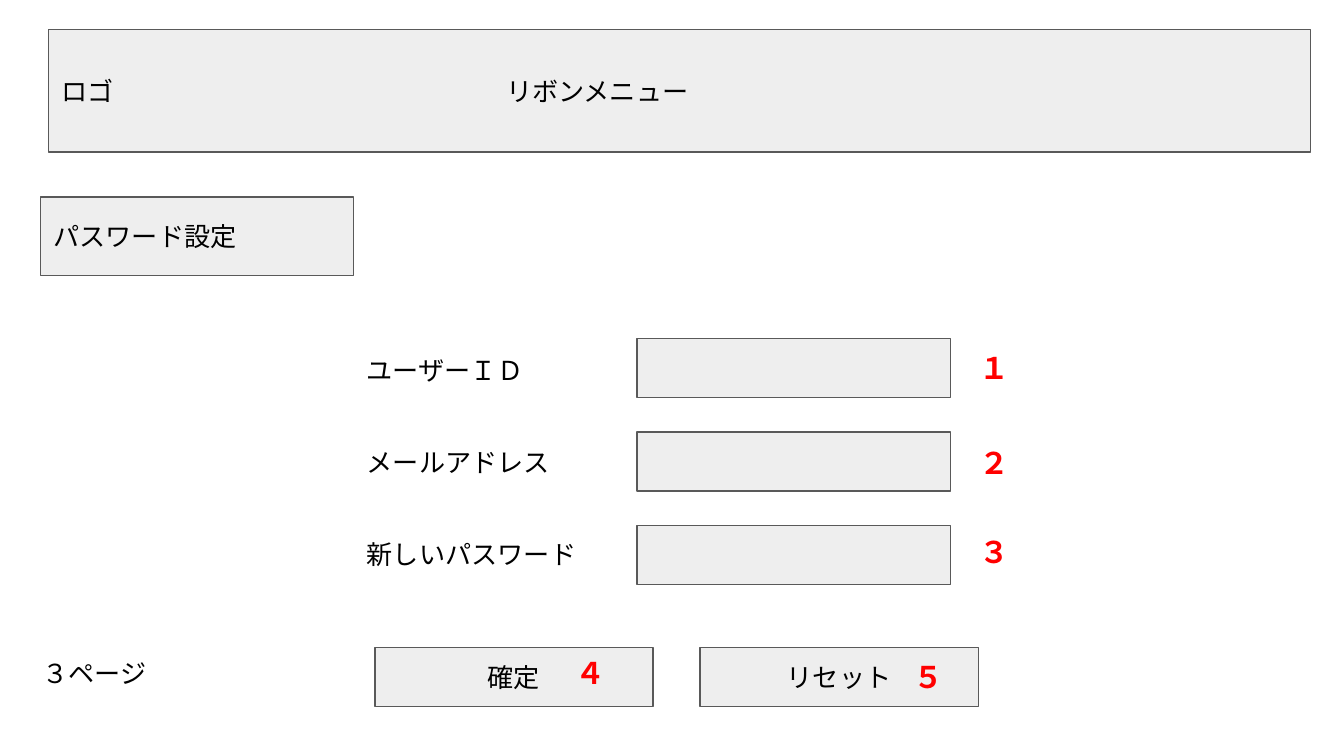
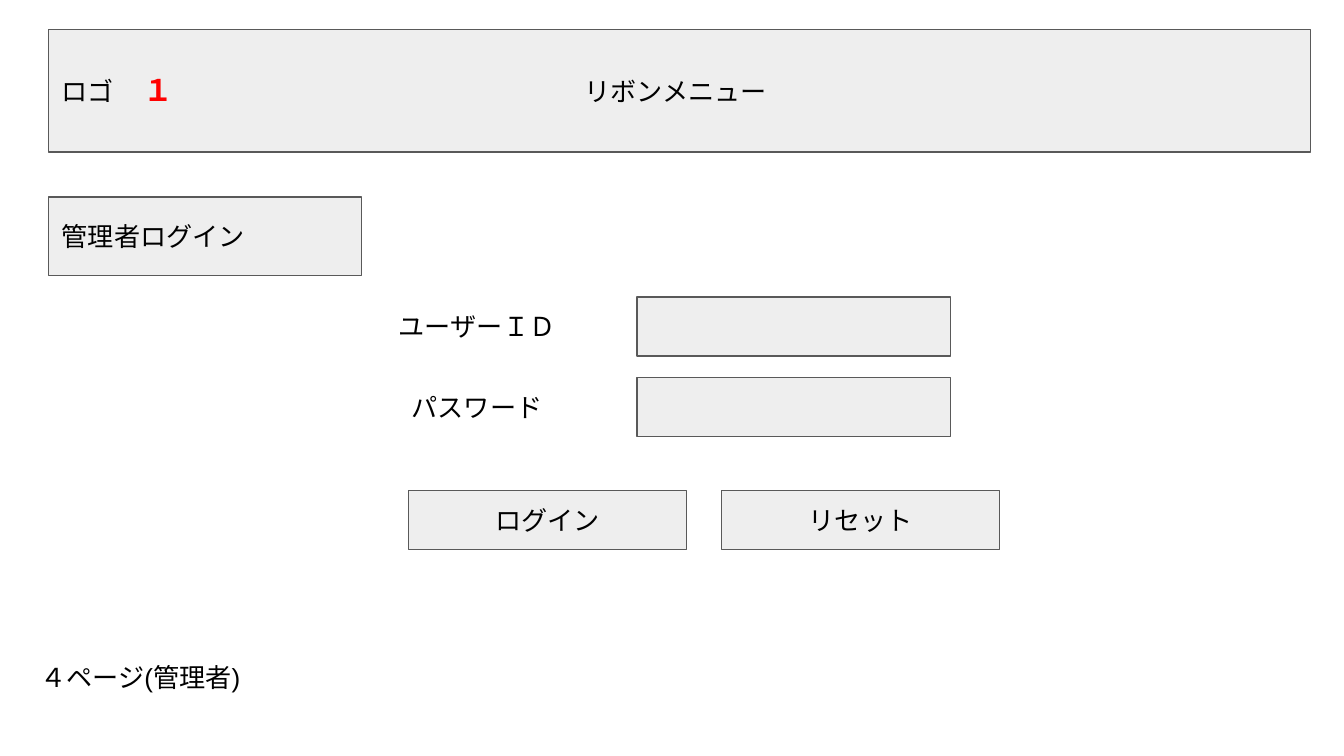
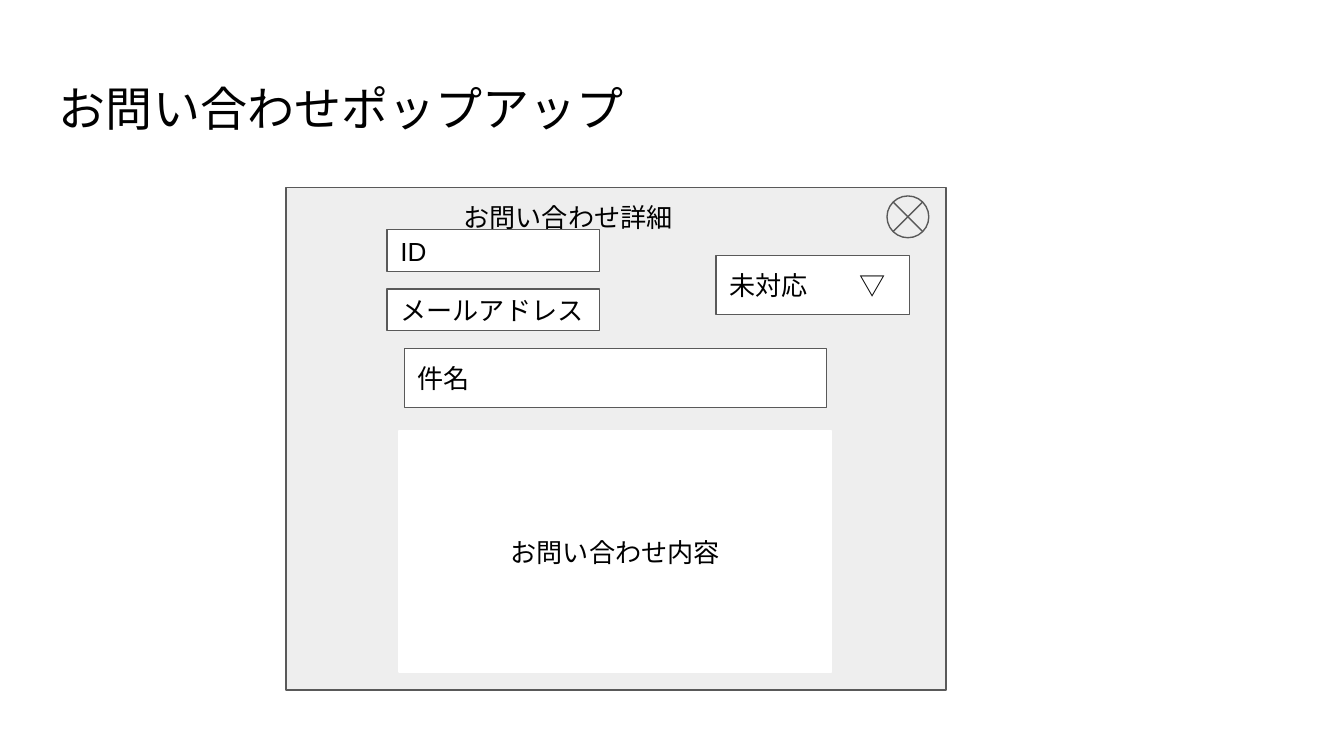
from dataclasses import dataclass

from lxml.etree import SubElement
from pptx import Presentation
from pptx.dml.color import RGBColor
from pptx.enum.lang import MSO_LANGUAGE_ID
from pptx.enum.shapes import MSO_SHAPE
from pptx.enum.text import MSO_ANCHOR, MSO_AUTO_SIZE, PP_ALIGN
from pptx.oxml.ns import qn
from pptx.util import Pt


@dataclass(frozen=True)
class Theme:
    font: str = "Arial"
    ink: str = "000000"
    mark: str = "FF0000"
    panel: str = "EEEEEE"
    paper: str = "FFFFFF"
    edge: str = "595959"
    body_size: float = 14
    mark_size: float = 16
    title_size: float = 25.2
    edge_width: float = 0.75
    inset: float = 7.2


theme = Theme()
LEFT, CENTER = PP_ALIGN.LEFT, PP_ALIGN.CENTER


def write(box, words, align=LEFT, size=theme.body_size, color=theme.ink, bold=False, tab=None):
    """Put one paragraph in a box; a tab stop separates its two parts."""
    frame = box.text_frame
    frame.word_wrap = True
    frame.margin_left = frame.margin_right = Pt(theme.inset)
    frame.margin_top = frame.margin_bottom = Pt(theme.inset)
    para = frame.paragraphs[0]
    para.alignment = align
    if tab:
        stops = SubElement(para._p.get_or_add_pPr(), qn("a:tabLst"))
        SubElement(stops, qn("a:tab"), pos=str(Pt(tab)), algn="l")
    span = para.add_run()
    span.text = words
    span.font.name = theme.font
    span.font.size = Pt(size)
    span.font.bold = bold
    span.font.color.rgb = RGBColor.from_string(color)
    span.font.language_id = MSO_LANGUAGE_ID.JAPANESE


def add_box(page, place, words="", fill=None, edge=theme.edge, kind=MSO_SHAPE.RECTANGLE, **style):
    """Add a filled shape, or a plain text box when there is no fill."""
    left, top, width, height = map(Pt, place)
    if fill:
        box = page.shapes.add_shape(kind, left, top, width, height)
        box.shadow.inherit = False
        box.fill.solid()
        box.fill.fore_color.rgb = RGBColor.from_string(fill)
        box.line.color.rgb = RGBColor.from_string(edge)
        box.line.width = Pt(theme.edge_width)
        box.text_frame.vertical_anchor = MSO_ANCHOR.MIDDLE
    else:
        box = page.shapes.add_textbox(left, top, width, height)
        box.text_frame.auto_size = MSO_AUTO_SIZE.SHAPE_TO_FIT_TEXT
    if words:
        write(box, words, **style)


deck = Presentation()
deck.slide_width, deck.slide_height = Pt(720), Pt(405)
blank = deck.slide_layouts[6]

# Form pages: password setting and administrator login
ROW = 31.7
forms = [
    {
        "menu_tab": 238,
        "heading": ("パスワード設定", 21.6),
        "align": LEFT,
        "fields": [("ユーザーＩＤ", 182.9, 181.4), ("メールアドレス", 231.8, 231.4),
                   ("新しいパスワード", 281.5, 281.4)],
        "buttons": [("確定", 200.9), ("リセット", 375.1)],
        "button_top": 347,
        "footer": ("３ページ", 15.8, 344.9, 103.7),
        "marks": [("１", 517.7, 180), ("２", 517.7, 231.1), ("３", 517.7, 278.6),
                  ("４", 301, 343.4), ("５", 482.4, 345.6)],
    },
    {
        "menu_tab": 280,
        "heading": ("管理者ログイン", 26),
        "align": CENTER,
        "fields": [("ユーザーＩＤ", 159.1, 159.1), ("パスワード", 202.3, 202.3)],
        "buttons": [("ログイン", 218.9), ("リセット", 386.6)],
        "button_top": 262.8,
        "footer": ("４ページ(管理者)", 14.4, 347, 139.7),
        "marks": [("１", 69.8, 31)],
    },
]

for form in forms:
    page = deck.slides.add_slide(blank)

    # Ribbon and page heading
    add_box(page, (26, 15.8, 676.2, 65.7), "ロゴ\tリボンメニュー", theme.panel, tab=form["menu_tab"])
    heading, heading_left = form["heading"]
    add_box(page, (heading_left, 105.6, 167.8, 42), heading, theme.panel)

    # Input fields with their labels
    for label, label_top, field_top in form["fields"]:
        add_box(page, (341.3, field_top, 167.8, ROW), fill=theme.panel)
        add_box(page, (189.4, label_top, 132.5, ROW), label, align=form["align"])

    # Buttons and page number
    for caption, left in form["buttons"]:
        add_box(page, (left, form["button_top"], 149, ROW), caption, theme.panel, align=CENTER)
    footer, left, top, width = form["footer"]
    add_box(page, (left, top, width, ROW), footer)

    # Red reference numbers
    for number, left, top in form["marks"]:
        add_box(page, (left, top, 35.3, 33.8), number,
                size=theme.mark_size, color=theme.mark, bold=True)

# Inquiry popup: title and window
page = deck.slides.add_slide(blank)
add_box(page, (24.5, 35.3, 671, 45.4), "お問い合わせポップアップ", size=theme.title_size)
add_box(page, (153.2, 100.6, 353.5, 269.1), fill=theme.panel)
add_box(page, (241.2, 100.8, 177.1, ROW), "お問い合わせ詳細")

# Status list, message and subject
add_box(page, (383.5, 136.8, 103.7, ROW), "未対応\t▽", theme.paper, tab=70)
add_box(page, (213.8, 231, 231.8, 129), "お問い合わせ内容", theme.paper, theme.paper, align=CENTER)
add_box(page, (216.7, 186.7, 226.1, ROW), "件名", theme.paper)

# Sender details
for index, caption in enumerate(["ID", "メールアドレス"]):
    add_box(page, (207.4, 123.1 + 31.7 * index, 113.8, 22.4), caption, theme.paper)

# Close button
add_box(page, (475.2, 105, 22.4, 22.4), fill=theme.panel,
        kind=MSO_SHAPE.FLOWCHART_SUMMING_JUNCTION)

deck.save("out.pptx")
